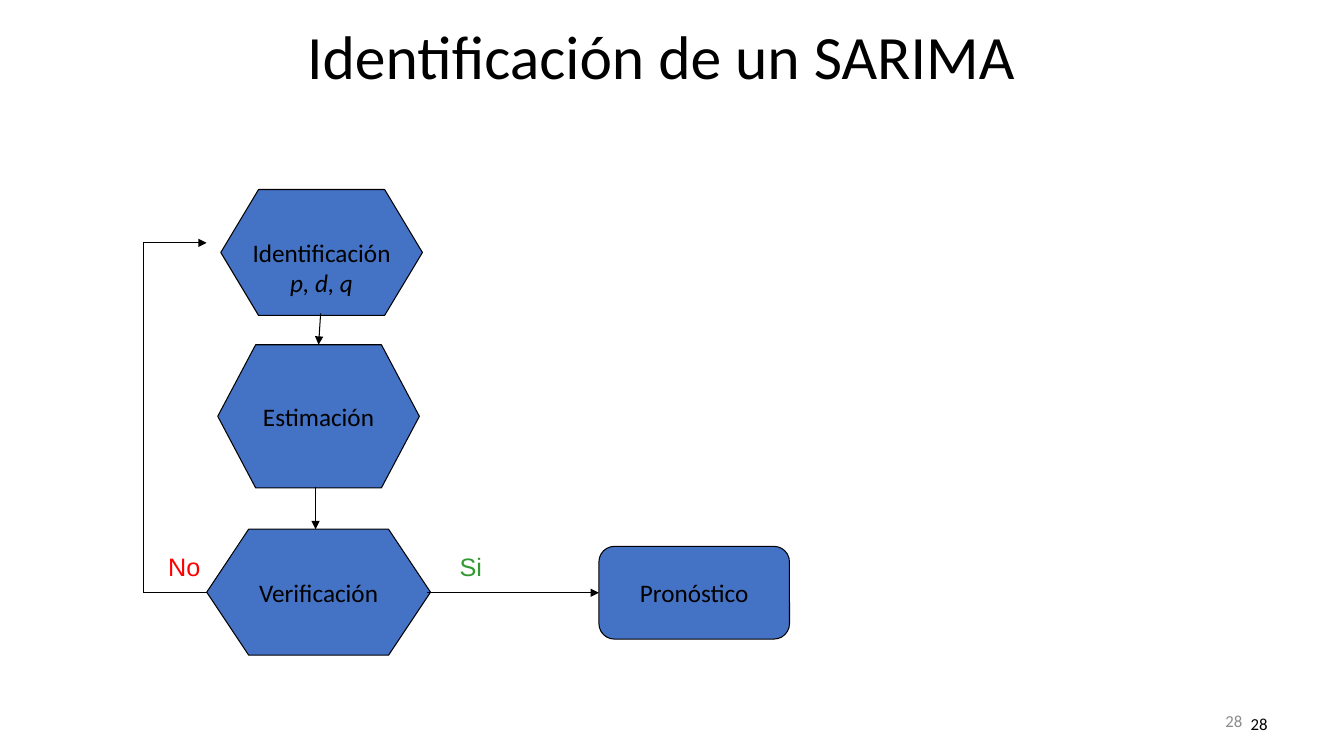
from dataclasses import dataclass

from lxml import etree
from pptx import Presentation
from pptx.dml.color import RGBColor
from pptx.enum.shapes import MSO_CONNECTOR, MSO_SHAPE
from pptx.enum.text import MSO_ANCHOR, PP_ALIGN
from pptx.oxml.ns import qn
from pptx.shapes.autoshape import Shape
from pptx.shapes.connector import Connector
from pptx.slide import Slide
from pptx.util import Inches, Pt

HEXAGON = MSO_SHAPE.HEXAGON
ROUNDED = MSO_SHAPE.ROUNDED_RECTANGLE
STRAIGHT = MSO_CONNECTOR.STRAIGHT
TOP, MIDDLE, BOTTOM = MSO_ANCHOR.TOP, MSO_ANCHOR.MIDDLE, MSO_ANCHOR.BOTTOM
LEFT, CENTER, RIGHT = PP_ALIGN.LEFT, PP_ALIGN.CENTER, PP_ALIGN.RIGHT

BLACK = RGBColor(0x00, 0x00, 0x00)
BLUE = RGBColor(0x44, 0x72, 0xC4)
GREEN = RGBColor(0x33, 0x99, 0x33)
RED = RGBColor(0xFF, 0x00, 0x00)
GRAY = RGBColor(0x8C, 0x8C, 0x8C)

LEFT_SITE = 1
LOOP_X, LOOP_TOP, FLOW_Y = 1.42, 2.41, 5.88
LOOP_END = 2.05


@dataclass(frozen=True)
class Step:
    lines: tuple[str, ...]
    box: tuple[float, float, float, float]
    adjustment: float
    kind: MSO_SHAPE = HEXAGON
    top_inset: float = 0.05


@dataclass(frozen=True)
class Label:
    text: str
    box: tuple[float, float, float, float]
    color: RGBColor
    font: str = "Calibri"
    size: float = 12
    align: PP_ALIGN = RIGHT
    anchor: MSO_ANCHOR = MIDDLE


@dataclass(frozen=True)
class Link:
    start: tuple[float, float]
    end: tuple[float, float]
    arrow: bool = True


STEPS = (
    Step(("Identificación", "p, d, q"), (2.19, 1.88, 2, 1.25), 0.3, top_inset=0.35),
    Step(("Estimación",), (2.16, 3.42, 2, 1.42), 0.265),
    Step(("Verificación",), (2.05, 5.25, 2.22, 1.25), 0.333),
)
FORECAST = Step(("Pronóstico",), (5.94, 5.42, 1.89, 0.92), 0.167, ROUNDED)

LABELS = (
    Label("28", (9.56, 6.83, 3.11, 0.5), BLACK, anchor=BOTTOM),
    Label("Si", (4.46, 5.42, 1, 0.4), GREEN, "Arial", 18, LEFT, TOP),
    Label("No", (1.57, 5.42, 0.78, 0.4), RED, "Arial", 18, LEFT, TOP),
    Label("28", (9.42, 6.95, 3, 0.4), GRAY),
)

LINKS = (
    Link((3.18, 3.11), (3.16, 3.42)),
    Link((3.13, 4.83), (3.13, 5.25)),
    Link((LOOP_X, FLOW_Y), (LOOP_X, LOOP_TOP), arrow=False),
    Link((LOOP_X, LOOP_TOP), (LOOP_END, LOOP_TOP)),
    Link((LOOP_X, FLOW_Y), (LOOP_END, FLOW_Y), arrow=False),
)
FORECAST_LINK = Link((4.24, FLOW_Y), (5.94, FLOW_Y))


def write_text(
    shape: Shape,
    *lines: str,
    size: float = 18,
    font: str = "Calibri",
    color: RGBColor = BLACK,
    align: PP_ALIGN = CENTER,
    anchor: MSO_ANCHOR = MIDDLE,
    wrap: bool = True,
    line_spacing: float = 1.0,
) -> None:
    frame = shape.text_frame
    frame.word_wrap = wrap
    frame.vertical_anchor = anchor
    frame.text = "\n".join(lines)
    for index, paragraph in enumerate(frame.paragraphs):
        paragraph.alignment = align
        paragraph.line_spacing = line_spacing
        run = paragraph.runs[0]
        run.font.size = Pt(size)
        run.font.name = font
        run.font.color.rgb = color
        run.font.italic = index > 0


def add_step(slide: Slide, step: Step) -> Shape:
    shape = slide.shapes.add_shape(step.kind, *map(Inches, step.box))
    shape.adjustments[0] = step.adjustment
    shape.shadow.inherit = False
    shape.fill.solid()
    shape.fill.fore_color.rgb = BLUE
    shape.line.color.rgb = BLACK
    shape.line.width = Pt(0.75)
    write_text(shape, *step.lines, wrap=False)
    shape.text_frame.margin_top = Inches(step.top_inset)
    return shape


def add_label(slide: Slide, label: Label) -> None:
    shape = slide.shapes.add_textbox(*map(Inches, label.box))
    write_text(
        shape,
        label.text,
        size=label.size,
        font=label.font,
        color=label.color,
        align=label.align,
        anchor=label.anchor,
    )


def add_link(slide: Slide, link: Link) -> Connector:
    points = map(Inches, (*link.start, *link.end))
    connector = slide.shapes.add_connector(STRAIGHT, *points)
    connector.line.color.rgb = BLACK
    connector.line.width = Pt(0.75)
    if link.arrow:
        outline = connector.line._get_or_add_ln()
        etree.SubElement(outline, qn("a:tailEnd"), type="triangle")
    etree.SubElement(connector._element.spPr, qn("a:effectLst"))
    return connector


def main() -> None:
    presentation = Presentation()
    presentation.slide_width = Inches(13.33)
    presentation.slide_height = Inches(7.5)
    slide = presentation.slides.add_slide(presentation.slide_layouts[5])

    title = slide.shapes.title
    title.left, title.top, title.width, title.height = map(
        Inches, (0.81, 0.03, 11.5, 1.12)
    )
    write_text(title, "Identificación de un SARIMA", size=44, line_spacing=0.9)

    for step in STEPS:
        add_step(slide, step)
    forecast = add_step(slide, FORECAST)
    for link in LINKS:
        add_link(slide, link)
    add_link(slide, FORECAST_LINK).end_connect(forecast, LEFT_SITE)
    for label in LABELS:
        add_label(slide, label)

    presentation.save("out.pptx")


if __name__ == "__main__":
    main()
